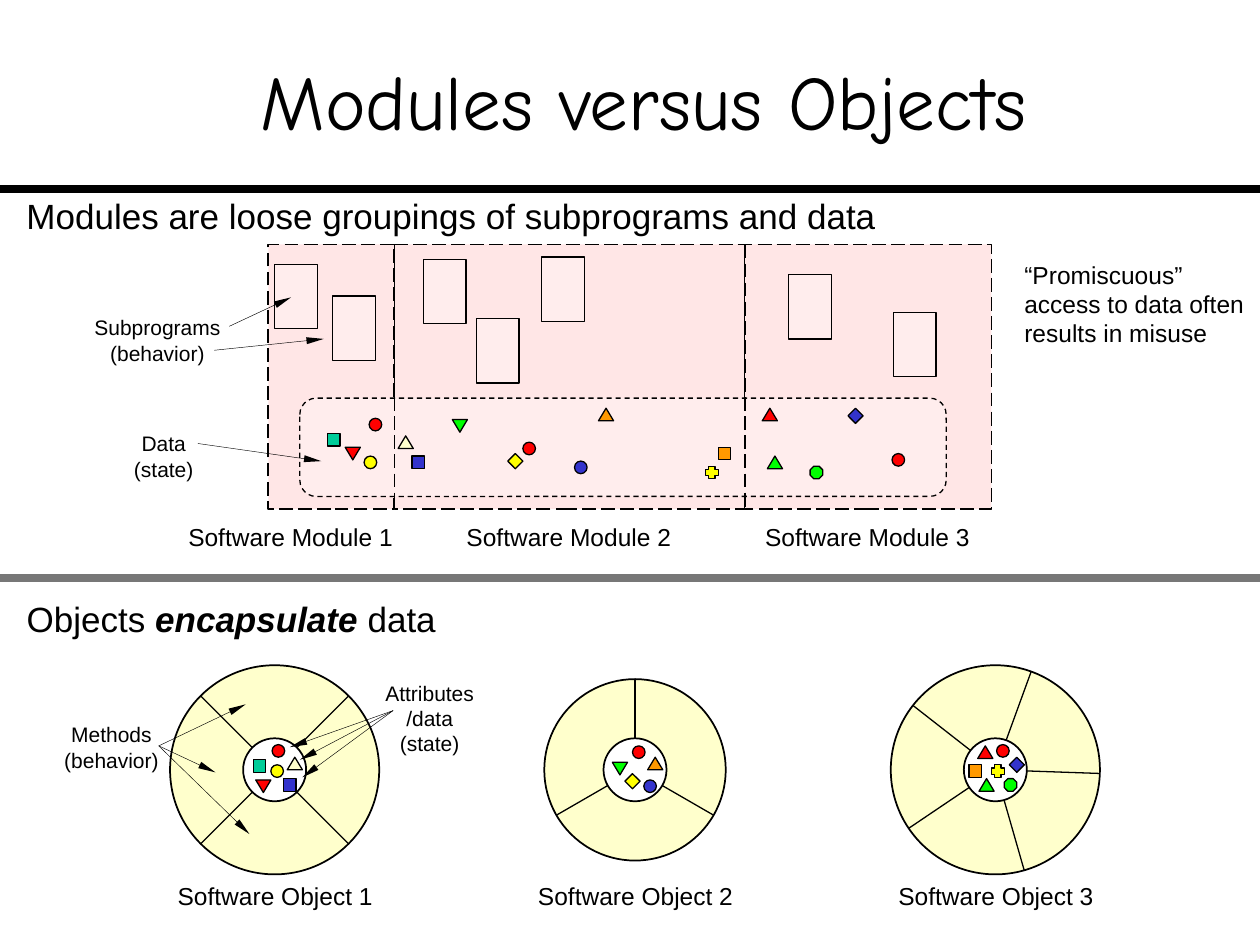
from math import cos, radians, sin
from typing import NamedTuple

from lxml import etree
from pptx import Presentation
from pptx.dml.color import RGBColor
from pptx.enum.dml import MSO_LINE
from pptx.enum.shapes import MSO_CONNECTOR, MSO_SHAPE
from pptx.enum.text import MSO_ANCHOR, MSO_AUTO_SIZE, PP_ALIGN
from pptx.oxml.ns import qn
from pptx.util import Inches, Pt

LEFT, CENTER, RIGHT = PP_ALIGN.LEFT, PP_ALIGN.CENTER, PP_ALIGN.RIGHT
TOP, MIDDLE = MSO_ANCHOR.TOP, MSO_ANCHOR.MIDDLE
GROW = MSO_AUTO_SIZE.SHAPE_TO_FIT_TEXT
RECT, ROUND, OVAL = MSO_SHAPE.RECTANGLE, MSO_SHAPE.ROUNDED_RECTANGLE, MSO_SHAPE.OVAL
DASH, LONG_DASH = MSO_LINE.DASH, MSO_LINE.LONG_DASH
BLACK, WHITE, GREY = "000000", "FFFFFF", "777777"
PINK, PALE_PINK, CREAM = "FFE6E6", "FFEDED", "FFFFCC"
RED, GREEN, BLUE, YELLOW = "FF0000", "00FF00", "3333CC", "FFFF00"
ORANGE, TEAL = "FF9900", "00CC99"

# preset shape, width, height, rotation
MARKERS = {
    "square": (RECT, 0.1, 0.1, 0),
    "circle": (OVAL, 0.1, 0.1, 0),
    "up": (MSO_SHAPE.ISOSCELES_TRIANGLE, 0.12, 0.1, 0),
    "down": (MSO_SHAPE.ISOSCELES_TRIANGLE, 0.12, 0.1, 180),
    "diamond": (MSO_SHAPE.DIAMOND, 0.12, 0.12, 0),
    "octagon": (MSO_SHAPE.OCTAGON, 0.1, 0.1, 0),
    "plus": (MSO_SHAPE.CROSS, 0.1, 0.1, 0),
}


class Datum(NamedTuple):
    """One piece of data, placed in a module and again in an object."""
    kind: str
    color: str
    in_module: tuple[float, float]
    in_object: tuple[float, float]


class SoftwareObject(NamedTuple):
    cx: float
    radius: float
    first_angle: float
    methods: int
    data: list[Datum]


class Label(NamedTuple):
    lines: list[str]
    x: float
    y: float
    w: float
    h: float
    size: int
    align: PP_ALIGN = CENTER
    wrap: bool = False


OBJECT_CY, HUB_RADIUS = 6.11, 0.25
OBJECTS = [
    SoftwareObject(2.18, 0.83, 45, 4, [
        Datum("square", TEAL, (2.6, 3.44), (2.01, 6.03)),
        Datum("up", CREAM, (3.16, 3.46), (2.28, 6.01)),
        Datum("circle", RED, (2.93, 3.32), (2.16, 5.91)),
        Datum("down", RED, (2.74, 3.55), (2.03, 6.19)),
        Datum("square", BLUE, (3.27, 3.62), (2.25, 6.18)),
        Datum("circle", YELLOW, (2.89, 3.62), (2.15, 6.07)),
    ]),
    SoftwareObject(5.04, 0.72, 90, 3, [
        Datum("up", ORANGE, (4.75, 3.24), (5.14, 6.01)),
        Datum("circle", RED, (4.15, 3.51), (5.02, 5.92)),
        Datum("down", GREEN, (3.59, 3.33), (4.86, 6.05)),
        Datum("diamond", YELLOW, (4.03, 3.6), (4.96, 6.14)),
        Datum("circle", BLUE, (4.56, 3.66), (5.11, 6.19)),
    ]),
    SoftwareObject(7.9, 0.83, 70, 5, [
        Datum("square", ORANGE, (5.7, 3.55), (7.69, 6.07)),
        Datum("diamond", BLUE, (6.73, 3.24), (8.01, 6.01)),
        Datum("circle", RED, (7.08, 3.6), (7.91, 5.91)),
        Datum("up", RED, (6.05, 3.24), (7.76, 5.92)),
        Datum("octagon", GREEN, (6.43, 3.7), (7.97, 6.18)),
        Datum("plus", YELLOW, (5.6, 3.7), (7.87, 6.07)),
        Datum("up", GREEN, (6.09, 3.62), (7.77, 6.18)),
    ]),
]
MODULE_TOP, MODULE_HEIGHT = 1.94, 2.1
MODULE_EDGES = [2.13, 3.13, 5.91, 7.87]
SUBPROGRAMS = [(2.18, 2.1), (2.64, 2.35), (3.36, 2.06), (3.78, 2.53),
               (4.3, 2.04), (6.26, 2.18), (7.09, 2.48)]
ARROWS = [
    (3.12, 5.64, 2.3, 5.93), (3.12, 5.64, 2.38, 6.03), (3.12, 5.64, 2.4, 6.17),
    (1.26, 5.92, 1.95, 5.59), (1.26, 5.92, 1.71, 6.13), (1.26, 5.92, 1.98, 6.62),
    (1.82, 2.59, 2.31, 2.36), (1.7, 2.78, 2.57, 2.69), (1.57, 3.52, 2.55, 3.66),
]
LABELS = [
    Label(["Modules are loose groupings of subprograms and data"],
          0.2, 1.54, 6.77, 0.33, 20, LEFT),
    Label(["Objects *encapsulate* data"], 0.2, 4.74, 3.27, 0.33, 20),
    Label(["“Promiscuous” access to data often results in misuse"],
          8.12, 2.06, 1.77, 0.7, 14, LEFT, True),
    Label(["Subprograms", "(behavior)"], 0.7, 2.5, 1.1, 0.4, 12),
    Label(["Data", "(state)"], 1, 3.42, 0.6, 0.4, 12),
    Label(["Methods", "(behavior)"], 0.46, 5.73, 0.85, 0.4, 12),
    Label(["Attributes", "/data", "(state)"], 3, 5.4, 0.82, 0.6, 12),
    Label(["Software Module 1"], 1.48, 4.14, 1.65, 0.23, 14, RIGHT),
    Label(["Software Module 2"], 3.69, 4.14, 1.65, 0.23, 14),
    Label(["Software Module 3"], 6.06, 4.14, 1.65, 0.23, 14),
]


def rgb(color: str) -> RGBColor:
    return RGBColor.from_string(color)


def write(tf, lines: list[str], *, size, font="Arial", align=CENTER, wrap=False,
          anchor=TOP, inset=(0.01, 0)) -> None:
    """Fill a text frame; words between asterisks become bold italic."""
    tf.word_wrap, tf.vertical_anchor = wrap, anchor
    tf.margin_left = tf.margin_right = Inches(inset[0])
    tf.margin_top = tf.margin_bottom = Inches(inset[1])
    for i, line in enumerate(lines):
        p = tf.add_paragraph() if i else tf.paragraphs[0]
        p.alignment = align
        for j, text in enumerate(line.split("*")):
            r = p.add_run()
            r.text = text
            r.font.name, r.font.size = font, Pt(size)
            r.font.color.rgb = rgb(BLACK)
            r.font.bold = r.font.italic = j % 2 == 1


def add_label(shapes, label: Label) -> None:
    box = shapes.add_textbox(*map(Inches, (label.x, label.y, label.w, label.h)))
    box.text_frame.auto_size = GROW
    write(box.text_frame, label.lines, size=label.size, align=label.align, wrap=label.wrap)


def add_shape(shapes, kind, x, y, w, h, fill: str, width=0.75, dash=None):
    sp = shapes.add_shape(kind, *map(Inches, (x, y, w, h)))
    sp.shadow.inherit = False
    sp.fill.solid()
    sp.fill.fore_color.rgb = rgb(fill)
    sp.line.color.rgb = rgb(BLACK)
    sp.line.width = Pt(width)
    if dash:
        sp.line.dash_style = dash
    return sp


def add_circle(shapes, cx: float, cy: float, radius: float, fill: str) -> None:
    add_shape(shapes, OVAL, cx - radius, cy - radius, 2 * radius, 2 * radius, fill, 1)


def add_marker(shapes, datum: Datum, at: tuple[float, float]) -> None:
    kind, w, h, rotation = MARKERS[datum.kind]
    add_shape(shapes, kind, *at, w, h, datum.color).rotation = rotation


def add_line(shapes, x1, y1, x2, y2, width=0.75, color=BLACK, dash=None, arrow=False) -> None:
    ln = shapes.add_connector(MSO_CONNECTOR.STRAIGHT, *map(Inches, (x1, y1, x2, y2)))
    ln.line.color.rgb = rgb(color)
    ln.line.width = Pt(width)
    if dash:
        ln.line.dash_style = dash
    if arrow:
        etree.SubElement(ln._element.spPr.find(qn("a:ln")), qn("a:tailEnd"),
                         type="triangle", w="sm", len="lg")
    etree.SubElement(ln._element.spPr, qn("a:effectLst"))


def add_object(shapes, obj: SoftwareObject) -> None:
    group = shapes.add_group_shape().shapes
    add_circle(group, obj.cx, OBJECT_CY, obj.radius, CREAM)
    for i in range(obj.methods):
        angle = radians(obj.first_angle + i * 360 / obj.methods)
        dx, dy = cos(angle), -sin(angle)
        add_line(group, obj.cx + HUB_RADIUS * dx, OBJECT_CY + HUB_RADIUS * dy,
                 obj.cx + obj.radius * dx, OBJECT_CY + obj.radius * dy)
    add_circle(group, obj.cx, OBJECT_CY, HUB_RADIUS, WHITE)
    for datum in obj.data:
        add_marker(group, datum, datum.in_object)


def add_modules(shapes) -> None:
    for left, right in zip(MODULE_EDGES, MODULE_EDGES[1:]):
        add_shape(shapes, RECT, left, MODULE_TOP, right - left, MODULE_HEIGHT, PINK, 1, LONG_DASH)
    add_shape(shapes, ROUND, 2.38, 3.16, 5.13, 0.78, PALE_PINK, dash=DASH)
    for obj in OBJECTS:
        for datum in obj.data:
            add_marker(shapes, datum, datum.in_module)
    for x in MODULE_EDGES[1:-1]:
        add_line(shapes, x, MODULE_TOP, x, MODULE_TOP + MODULE_HEIGHT, 1, dash=LONG_DASH)
    for x, y in SUBPROGRAMS:
        add_shape(shapes, RECT, x, y, 0.34, 0.51, PALE_PINK)


def main() -> None:
    prs = Presentation()
    prs.slide_width, prs.slide_height = Inches(10), Inches(7.5)
    s = prs.slides.add_slide(prs.slide_layouts[5])
    title = s.shapes.title
    title.left, title.top, title.width, title.height = map(Inches, (0.42, 0.17, 9.38, 1.25))
    write(title.text_frame, ["Modules versus Objects"], size=44, font="Comic Neue",
          wrap=True, anchor=MIDDLE, inset=(0, 0.05))
    add_line(s.shapes, 0, 1.5, 10, 1.5, 4.5)
    add_line(s.shapes, 0, 4.59, 10, 4.59, 4.5, GREY)
    add_modules(s.shapes)
    for i, obj in enumerate(OBJECTS, 1):
        add_object(s.shapes, obj)
        add_label(s.shapes, Label([f"Software Object {i}"], obj.cx - 0.78, 6.99, 1.57, 0.23, 14))
    for arrow in ARROWS:
        add_line(s.shapes, *arrow, width=0.25, arrow=True)
    for label in LABELS:
        add_label(s.shapes, label)
    prs.save("out.pptx")


if __name__ == "__main__":
    main()
